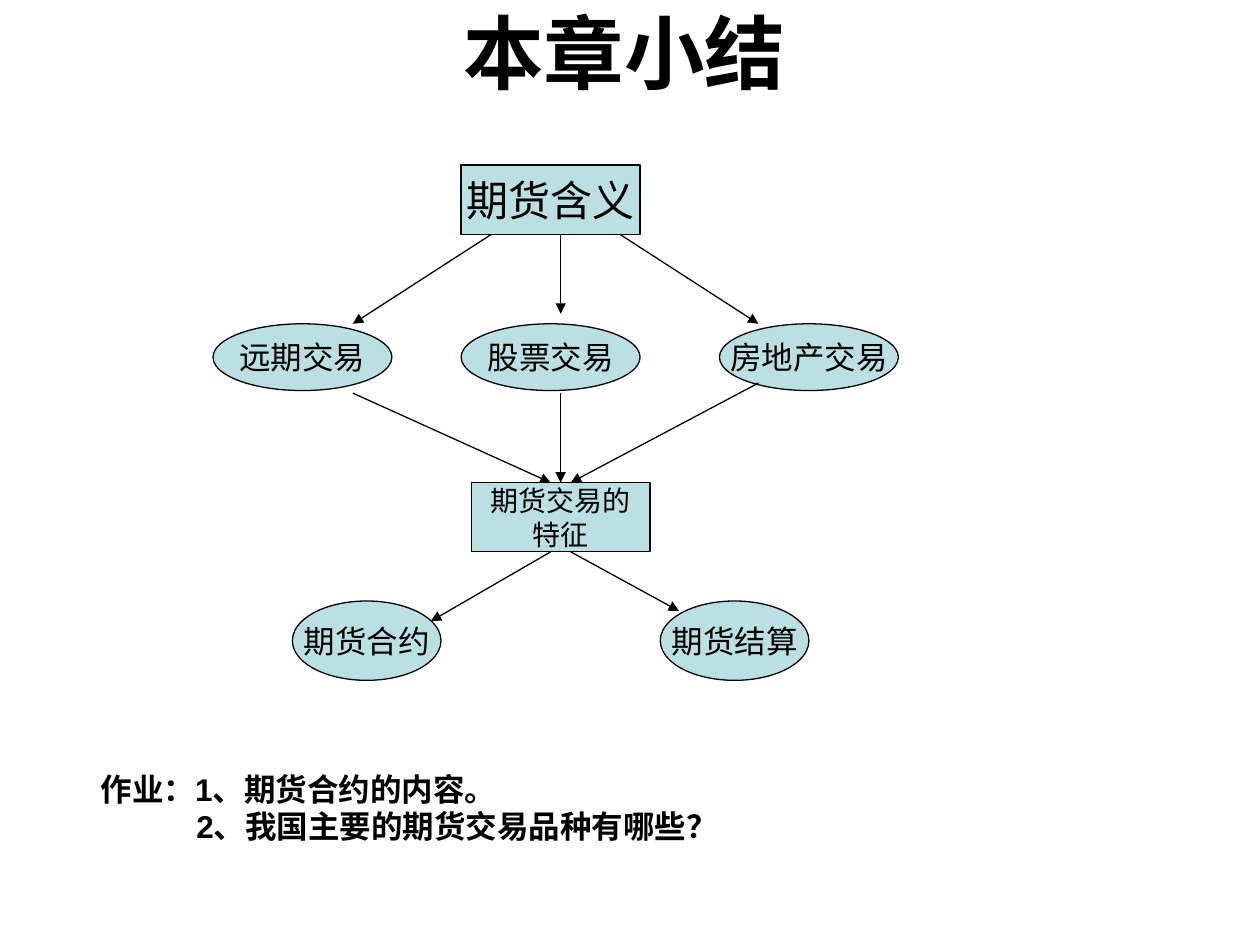
from dataclasses import dataclass

from lxml import etree
from pptx import Presentation
from pptx.dml.color import RGBColor
from pptx.enum.shapes import MSO_CONNECTOR, MSO_SHAPE
from pptx.enum.text import MSO_ANCHOR, MSO_AUTO_SIZE, PP_ALIGN
from pptx.oxml.ns import qn
from pptx.util import Inches, Pt

RECT, OVAL = MSO_SHAPE.RECTANGLE, MSO_SHAPE.OVAL
STRAIGHT = MSO_CONNECTOR.STRAIGHT
MIDDLE, TOP = MSO_ANCHOR.MIDDLE, MSO_ANCHOR.TOP
CENTER, LEFT = PP_ALIGN.CENTER, PP_ALIGN.LEFT
NO_FIT = MSO_AUTO_SIZE.NONE


@dataclass(frozen=True)
class Theme:
    font: str = "Arial"
    ink: RGBColor = RGBColor(0x00, 0x00, 0x00)
    node: RGBColor = RGBColor(0xBB, 0xE0, 0xE3)
    title: int = 46
    root: int = 24
    body: int = 18
    feature: int = 16
    line: float = 0.75


THEME = Theme()


def write(tf, lines, size, bold=False, align=CENTER, anchor=MIDDLE, wrap=False):
    tf.auto_size = NO_FIT
    tf.word_wrap = wrap
    tf.vertical_anchor = anchor
    for i, line in enumerate(lines):
        p = tf.paragraphs[0] if i == 0 else tf.add_paragraph()
        p.alignment = align
        r = p.add_run()
        r.text = line
        r.font.name = THEME.font
        r.font.size = Pt(size)
        r.font.bold = bold
        r.font.color.rgb = THEME.ink


def add_title(s, left, top, width, height):
    title = s.shapes.title
    title.left, title.top = Inches(left), Inches(top)
    title.width, title.height = Inches(width), Inches(height)
    write(title.text_frame, ["本章小结"], THEME.title, bold=True, wrap=True)


def add_node(s, kind, left, top, width, height, lines, size):
    sp = s.shapes.add_shape(kind, Inches(left), Inches(top), Inches(width), Inches(height))
    sp.shadow.inherit = False
    sp.fill.solid()
    sp.fill.fore_color.rgb = THEME.node
    sp.line.color.rgb = THEME.ink
    sp.line.width = Pt(THEME.line)
    write(sp.text_frame, lines, size)


def add_arrow(s, x1, y1, x2, y2):
    c = s.shapes.add_connector(STRAIGHT, Inches(x1), Inches(y1), Inches(x2), Inches(y2))
    c.line.color.rgb = THEME.ink
    c.line.width = Pt(THEME.line)
    etree.SubElement(c.line._get_or_add_ln(), qn("a:tailEnd"), type="triangle")
    etree.SubElement(c._element.spPr, qn("a:effectLst"))


def add_diagram(s, left, top):
    """Flow from the meaning of futures to its features, contract and settlement."""
    width, box_h, oval_h = 1.42, 0.55, 0.53
    trade_y, feature_y, result_y = 1.26, 2.52, 3.46
    feature_end = feature_y + box_h

    nodes = [
        (RECT, 1.97, 0, width, box_h, ["期货含义"], THEME.root),
        (RECT, 2.05, feature_y, width, box_h, ["期货交易的", "特征"], THEME.feature),
    ]
    for x, label in [(0, "远期交易"), (1.97, "股票交易"), (4.02, "房地产交易")]:
        nodes.append((OVAL, x, trade_y, width, oval_h, [label], THEME.body))
    for x, label in [(0.63, "期货合约"), (3.55, "期货结算")]:
        nodes.append((OVAL, x, result_y, 1.18, 0.63, [label], THEME.body))
    for kind, x, y, *rest in nodes:
        add_node(s, kind, left + x, top + y, *rest)

    arrows = [
        (2.21, box_h, 1.11, trade_y),
        (2.76, box_h, 2.76, 1.18),
        (3.23, box_h, 4.33, trade_y),
        (1.11, 1.81, 2.68, feature_y),
        (2.76, 1.81, 2.76, feature_y),
        (4.33, 1.73, 2.84, feature_y),
        (2.68, feature_end, 1.73, 3.62),
        (2.84, feature_end, 3.70, 3.54),
    ]
    for x1, y1, x2, y2 in arrows:
        add_arrow(s, left + x1, top + y1, left + x2, top + y2)


def add_homework(s, left, top, width, height):
    tb = s.shapes.add_textbox(Inches(left), Inches(top), Inches(width), Inches(height))
    tf = tb.text_frame
    lines = ["作业：1、期货合约的内容。", "2、我国主要的期货交易品种有哪些？"]
    write(tf, lines, THEME.body, bold=True, align=LEFT, anchor=TOP, wrap=True)
    pPr = tf.paragraphs[1]._p.get_or_add_pPr()
    pPr.set("marL", str(Inches(0.76)))
    pPr.set("indent", "0")


def main():
    prs = Presentation()
    prs.slide_width, prs.slide_height = Inches(10), Inches(7.5)
    s = prs.slides.add_slide(prs.slide_layouts[5])
    add_title(s, 1.72, 0.06, 6.47, 0.69)
    add_diagram(s, 1.69, 1.31)
    add_homework(s, 0.7, 6.06, 5.16, 0.7)
    prs.save("out.pptx")


if __name__ == "__main__":
    main()
